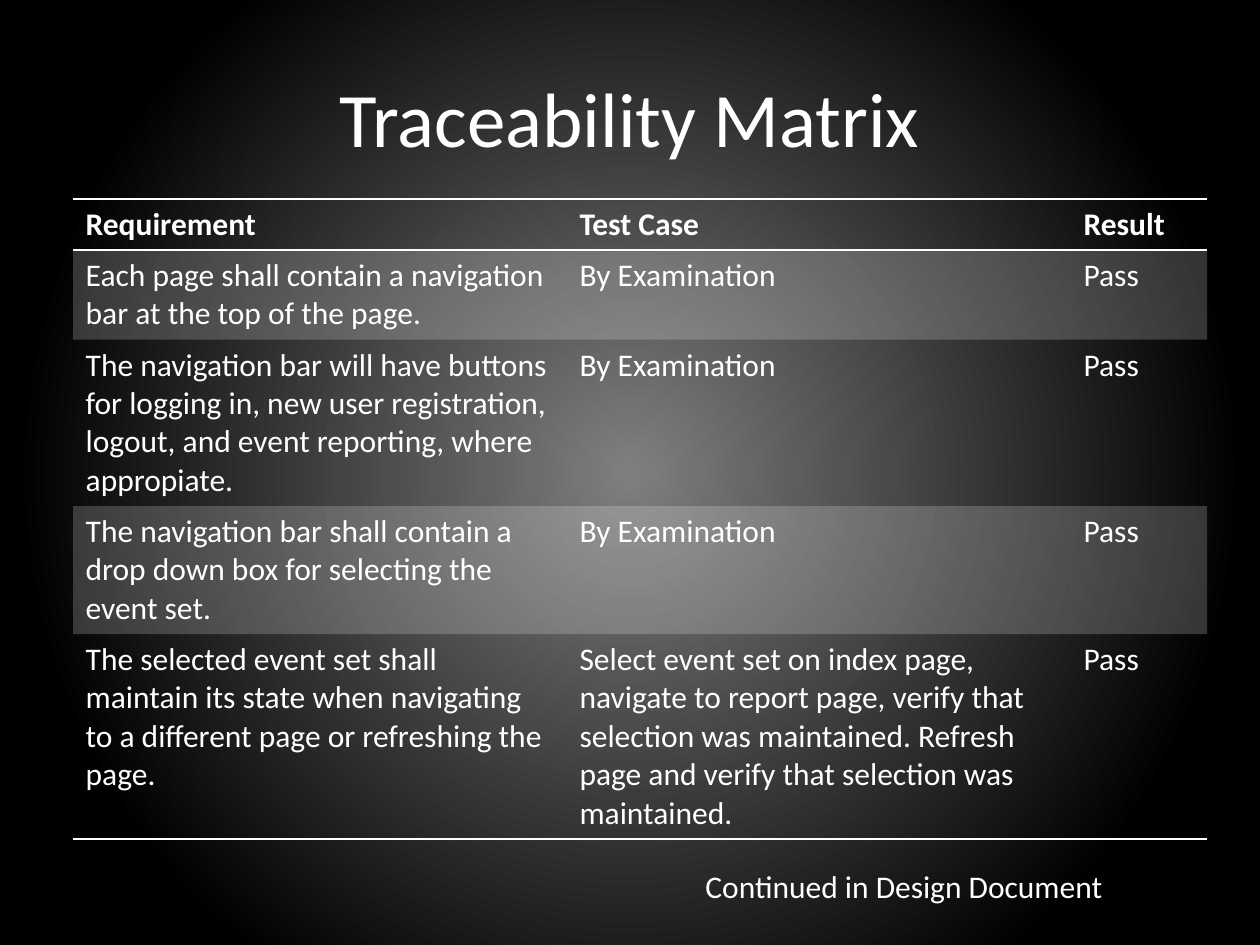
from lxml import etree
from pptx import Presentation
from pptx.dml.color import RGBColor
from pptx.enum.text import MSO_ANCHOR, PP_ALIGN
from pptx.oxml import parse_xml
from pptx.oxml.ns import nsdecls, qn
from pptx.util import Inches, Pt

MIDDLE = MSO_ANCHOR.MIDDLE
CENTER = PP_ALIGN.CENTER

COLORS = {"text": "FFFFFF", "glow": "7F7F7F", "edge": "000000"}
FONT = "Calibri"
NO_STYLE = "{2D5ABB26-0587-4C30-8999-92F81FD0307C}"
BAND_ALPHA = 20
LINE_H, CELL_PAD = 0.305, 0.1

COL_WIDTHS = [3.92, 4, 1.08]
# Each row: number of text lines, then the cell texts
ROWS = [
    (1, "Requirement", "Test Case", "Result"),
    (2, "Each page shall contain a navigation bar at the top of the page.",
     "By Examination", "Pass"),
    (4, "The navigation bar will have buttons for logging in, new user "
        "registration, logout, and event reporting, where appropiate.",
     "By Examination", "Pass"),
    (3, "The navigation bar shall contain a drop down box for selecting "
        "the event set.",
     "By Examination", "Pass"),
    (5, "The selected event set shall maintain its state when navigating "
        "to a different page or refreshing the page.",
     "Select event set on index page, navigate to report page, verify that "
     "selection was maintained. Refresh page and verify that selection was "
     "maintained.", "Pass"),
]


def write(tf, text, size, bold=False):
    """Put one formatted paragraph in a text frame and return it."""
    tf.text = text
    p = tf.paragraphs[0]
    p.font.name, p.font.size, p.font.bold = FONT, Pt(size), bold
    p.font.color.rgb = RGBColor.from_string(COLORS["text"])
    return p


def add_border(cell, side):
    """Draw a 1 pt line on the top (T) or bottom (B) of a cell."""
    cell._tc.get_or_add_tcPr().append(parse_xml(
        f'<a:ln{side} {nsdecls("a")} w="{Pt(1)}"><a:solidFill>'
        f'<a:srgbClr val="{COLORS["text"]}"/></a:solidFill></a:ln{side}>'))


prs = Presentation()
prs.slide_width, prs.slide_height = Inches(10), Inches(7.5)
s = prs.slides.add_slide(prs.slide_layouts[5])

# Radial background
s.background.fill.solid()
bg = s.element.find(".//" + qn("p:bgPr"))
bg.replace(bg.find(qn("a:solidFill")), parse_xml(
    f'<a:gradFill {nsdecls("a")} rotWithShape="1"><a:gsLst>'
    f'<a:gs pos="0"><a:srgbClr val="{COLORS["glow"]}"/></a:gs>'
    f'<a:gs pos="78000"><a:srgbClr val="{COLORS["edge"]}"/></a:gs></a:gsLst>'
    '<a:path path="circle"><a:fillToRect l="50000" t="50000" r="50000" '
    'b="50000"/></a:path></a:gradFill>'))

# Title
title = s.shapes.title
title.left, title.top = Inches(0.5), Inches(0.3)
title.width, title.height = Inches(9), Inches(1.25)
title.text_frame.vertical_anchor = MIDDLE
write(title.text_frame, "Traceability Matrix", 44).alignment = CENTER

# Requirements table
heights = [lines * LINE_H + CELL_PAD for lines, *_ in ROWS]
frame = s.shapes.add_table(len(ROWS), len(COL_WIDTHS), Inches(0.58),
                           Inches(1.58), Inches(sum(COL_WIDTHS)),
                           Inches(sum(heights)))
table = frame.table
table._tbl.tblPr.find(qn("a:tableStyleId")).text = NO_STYLE
for col, width in zip(table.columns, COL_WIDTHS):
    col.width = Inches(width)

last = len(ROWS) - 1
for i, (_, *texts) in enumerate(ROWS):
    table.rows[i].height = Inches(heights[i])
    sides = {0: "TB", last: "B"}.get(i, "")
    for j, text in enumerate(texts):
        cell = table.cell(i, j)
        write(cell.text_frame, text, 18, bold=i == 0)
        for side in sides:
            add_border(cell, side)
        if i % 2:
            cell.fill.solid()
            cell.fill.fore_color.rgb = RGBColor.from_string(COLORS["text"])
            color = cell._tc.tcPr.find(
                qn("a:solidFill") + "/" + qn("a:srgbClr"))
            etree.SubElement(color, qn("a:alpha"), val=str(BAND_ALPHA * 1000))
        else:
            cell.fill.background()

# Closing note
note = s.shapes.add_textbox(Inches(5.5), Inches(6.83), Inches(3.92), Inches(0.4))
note.text_frame.word_wrap = True
write(note.text_frame, "Continued in Design Document", 18)

prs.save("out.pptx")
